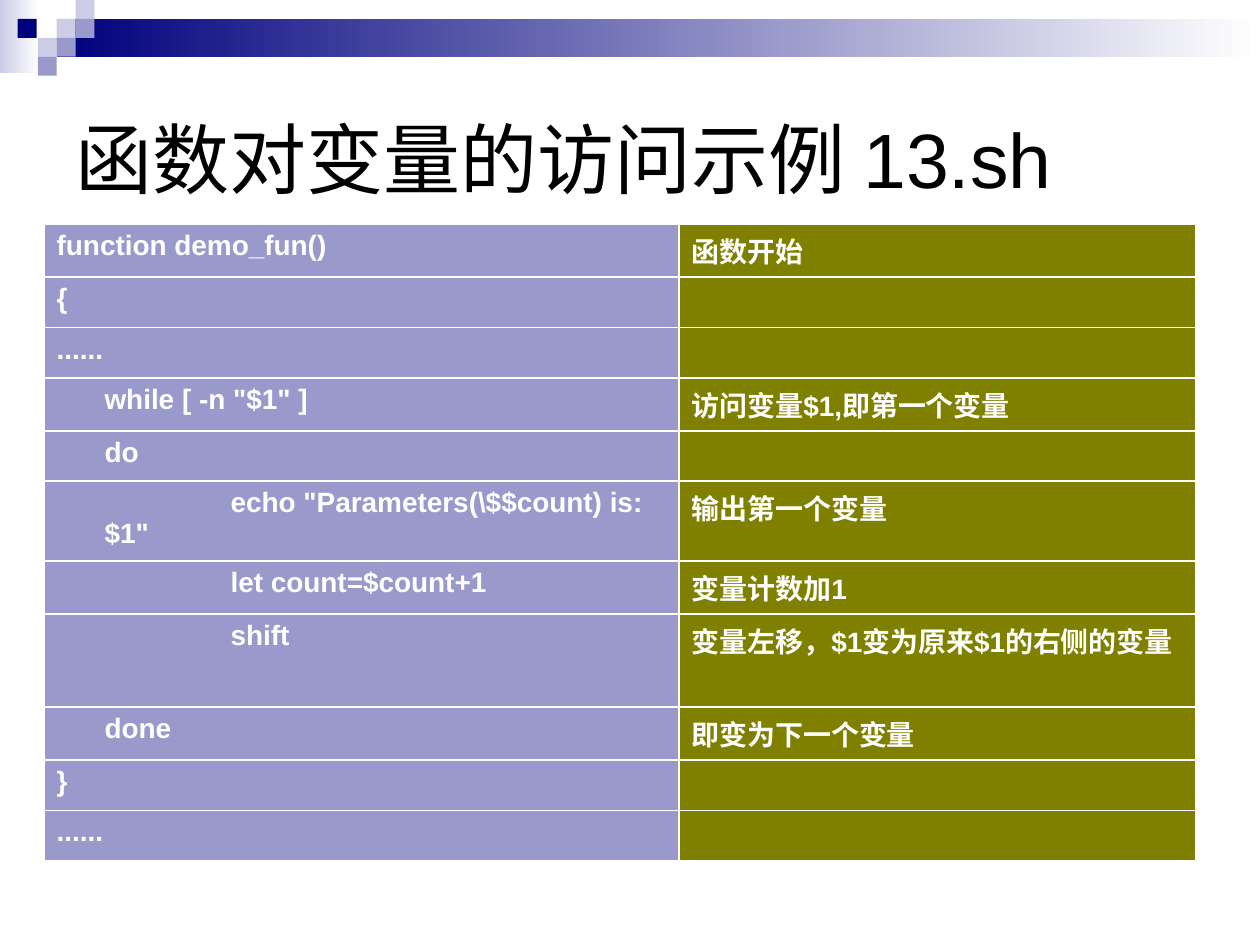
"""Build the slide on variable access in shell functions."""
from lxml.etree import SubElement
from pptx import Presentation
from pptx.dml.color import RGBColor
from pptx.enum.shapes import MSO_SHAPE
from pptx.enum.text import MSO_ANCHOR, PP_ALIGN
from pptx.oxml.ns import qn
from pptx.util import Inches, Pt

NAVY, LILAC, PALE, OLIVE, WHITE = "00007D", "9999CC", "CCCCE6", "808000", "FFFFFF"


def paint(target, color):
    """Set a solid fill or a font colour."""
    if hasattr(target, "solid"):
        target.solid()
        target.fore_color.rgb = RGBColor.from_string(color)
    else:
        target.color.rgb = RGBColor.from_string(color)


def add_text(paragraph, text, size, color, bold=False):
    """Add one run of Arial text."""
    run = paragraph.add_run()
    run.text = text
    run.font.name = "Arial"
    run.font.size = Pt(size)
    run.font.bold = bold
    paint(run.font, color)


presentation = Presentation()
presentation.slide_width = Inches(10)
presentation.slide_height = Inches(7.5)
slide = presentation.slides.add_slide(presentation.slide_layouts[6])

decorations = [
    (0, 0, 0.31, 0.58, (PALE, WHITE)),
    (0.45, 0.15, 9.55, 0.3, (NAVY, WHITE)),
]
squares = [
    (0.45, 0.15, PALE), (0.6, 0, PALE), (0.6, 0.15, LILAC), (0.3, 0.3, PALE),
    (0.14, 0.15, NAVY), (0.45, 0.3, LILAC), (0.3, 0.45, LILAC),
]
decorations += [(left, top, 0.15, 0.15, (color,)) for left, top, color in squares]
for left, top, width, height, colors in decorations:
    shape = slide.shapes.add_shape(
        MSO_SHAPE.RECTANGLE, Inches(left), Inches(top), Inches(width), Inches(height))
    shape.shadow.inherit = False
    shape.line.fill.background()
    if len(colors) == 1:
        paint(shape.fill, colors[0])
    else:
        shape.fill.gradient()
        shape.fill.gradient_angle = 0
        for position, (stop, color) in enumerate(zip(shape.fill.gradient_stops, colors)):
            stop.position = position
            paint(stop, color)

title = slide.shapes.add_textbox(Inches(0.5), Inches(0.5), Inches(9), Inches(1.5))
title.text_frame.word_wrap = True
title.text_frame.vertical_anchor = MSO_ANCHOR.MIDDLE
title.text_frame.paragraphs[0].alignment = PP_ALIGN.LEFT
add_text(title.text_frame.paragraphs[0], "函数对变量的访问示例 13.sh", 44, "000000")

rows = [
    (0.42, "function demo_fun()", "函数开始"),
    (0.4, "{", ""),
    (0.4, "......", ""),
    (0.42, '\twhile [ -n "$1" ]', "访问变量$1,即第一个变量"),
    (0.4, "\tdo", ""),
    (0.59, '\t\techo "Parameters(\\$$count) is:$1"', "输出第一个变量"),
    (0.42, "\t\tlet count=$count+1", "变量计数加1"),
    (0.74, "\t\tshift", "变量左移，$1变为原来$1的右侧的变量"),
    (0.42, "\tdone", "即变为下一个变量"),
    (0.4, "}", ""),
    (0.4, "......", ""),
]
table_height = sum(height for height, *texts in rows)
table = slide.shapes.add_table(
    len(rows), 2, Inches(0.35), Inches(1.78), Inches(9.14), Inches(table_height)).table
table.first_row = False
table.horz_banding = False
for column, width in zip(table.columns, (5.04, 4.1)):
    column.width = Inches(width)
for row_index, (height, *texts) in enumerate(rows):
    table.rows[row_index].height = Inches(height)
    for column_index, (text, color) in enumerate(zip(texts, (LILAC, OLIVE))):
        cell = table.cell(row_index, column_index)
        properties = cell._tc.get_or_add_tcPr()
        for side in ("a:lnL", "a:lnR", "a:lnT", "a:lnB"):
            border = SubElement(properties, qn(side), w=str(Pt(1)))
            SubElement(SubElement(border, qn("a:solidFill")), qn("a:srgbClr"), val=WHITE)
        paint(cell.fill, color)
        paragraph = cell.text_frame.paragraphs[0]
        if text:
            indents = paragraph._p.get_or_add_pPr()
            indents.set("marL", str(Inches(0.38)))
            indents.set("indent", str(Inches(-0.38)))
            indents.set("defTabSz", str(Inches(1)))
            add_text(paragraph, text, 16, WHITE, bold=True)
        else:
            paragraph.font.size = Pt(16)

presentation.save("out.pptx")
